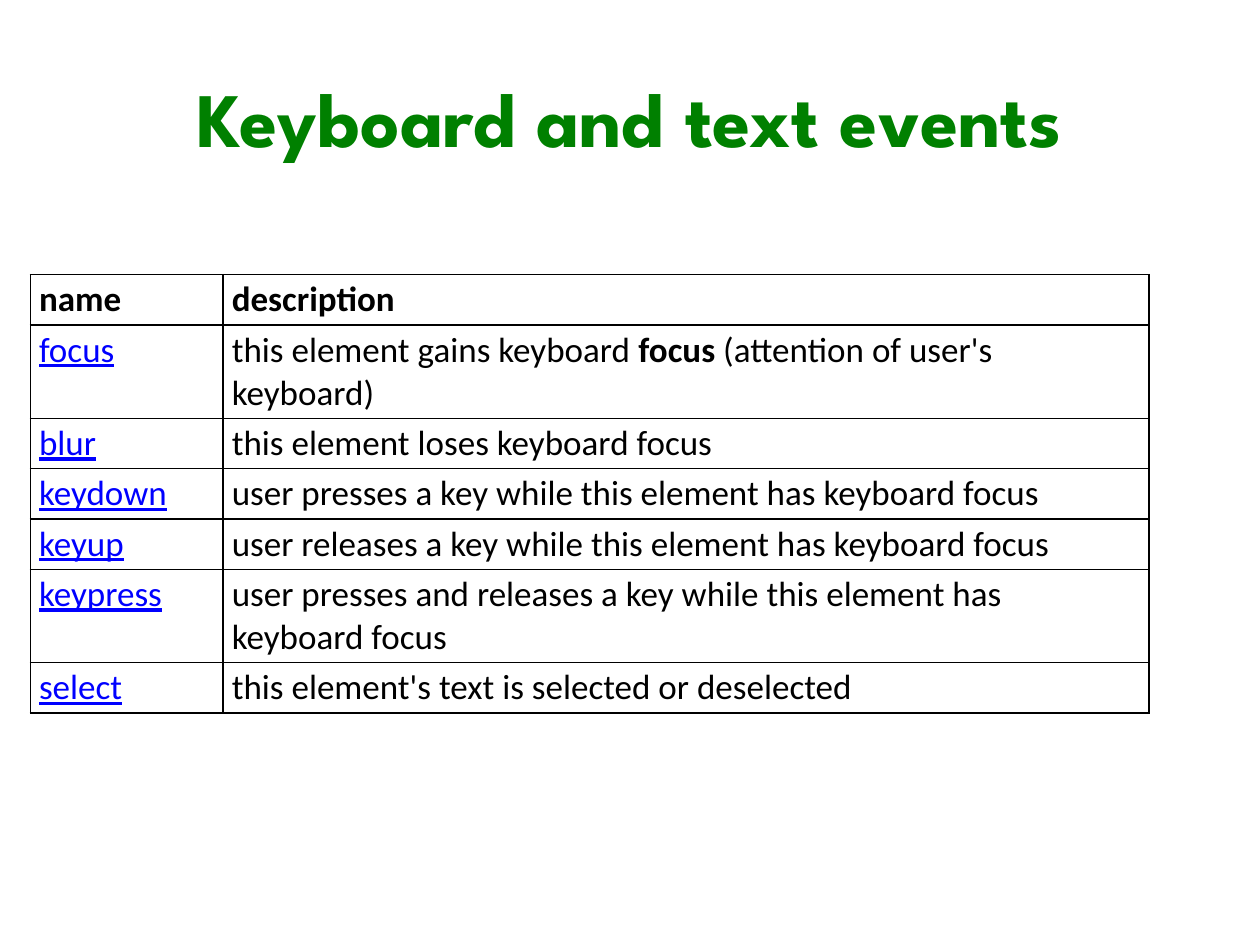
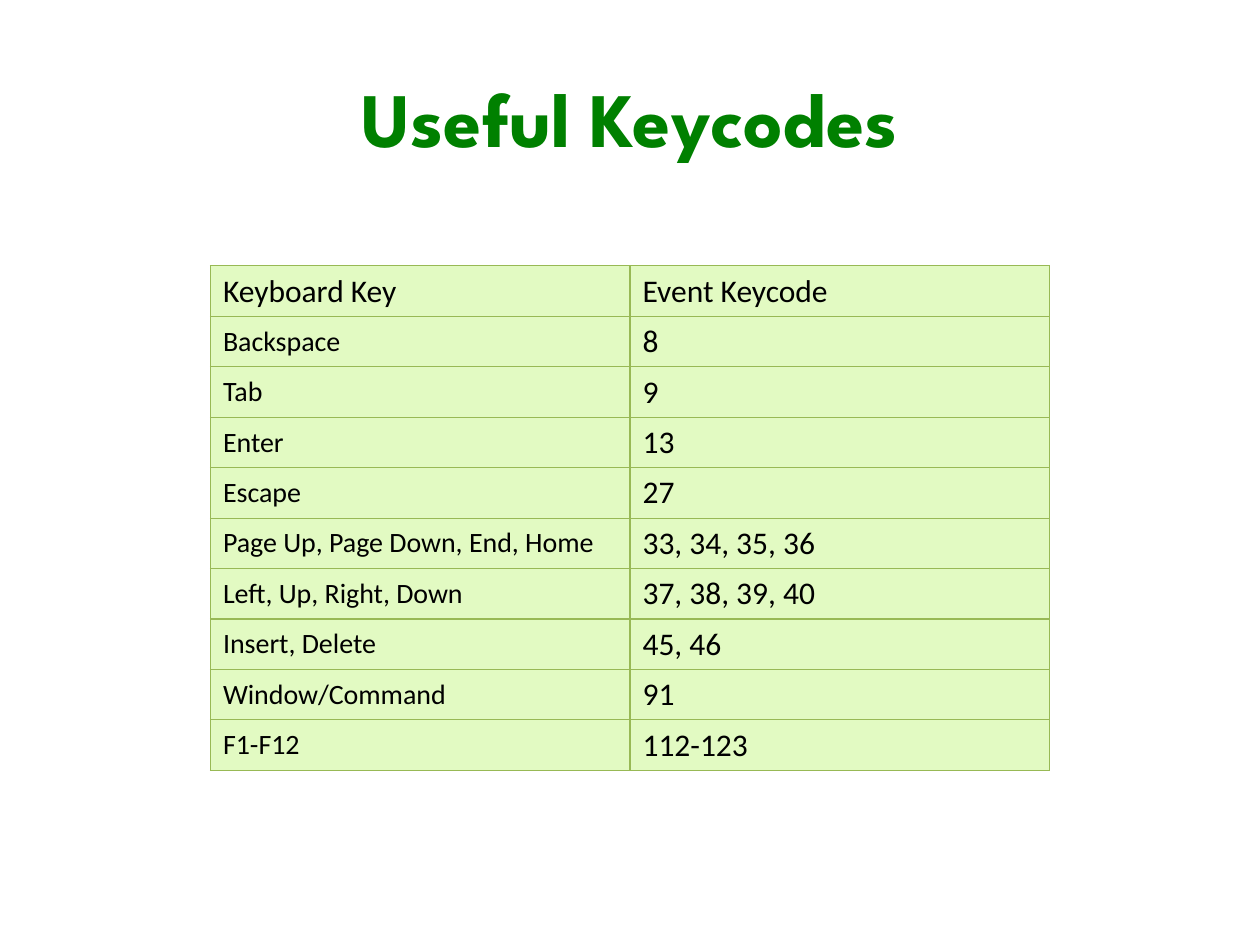
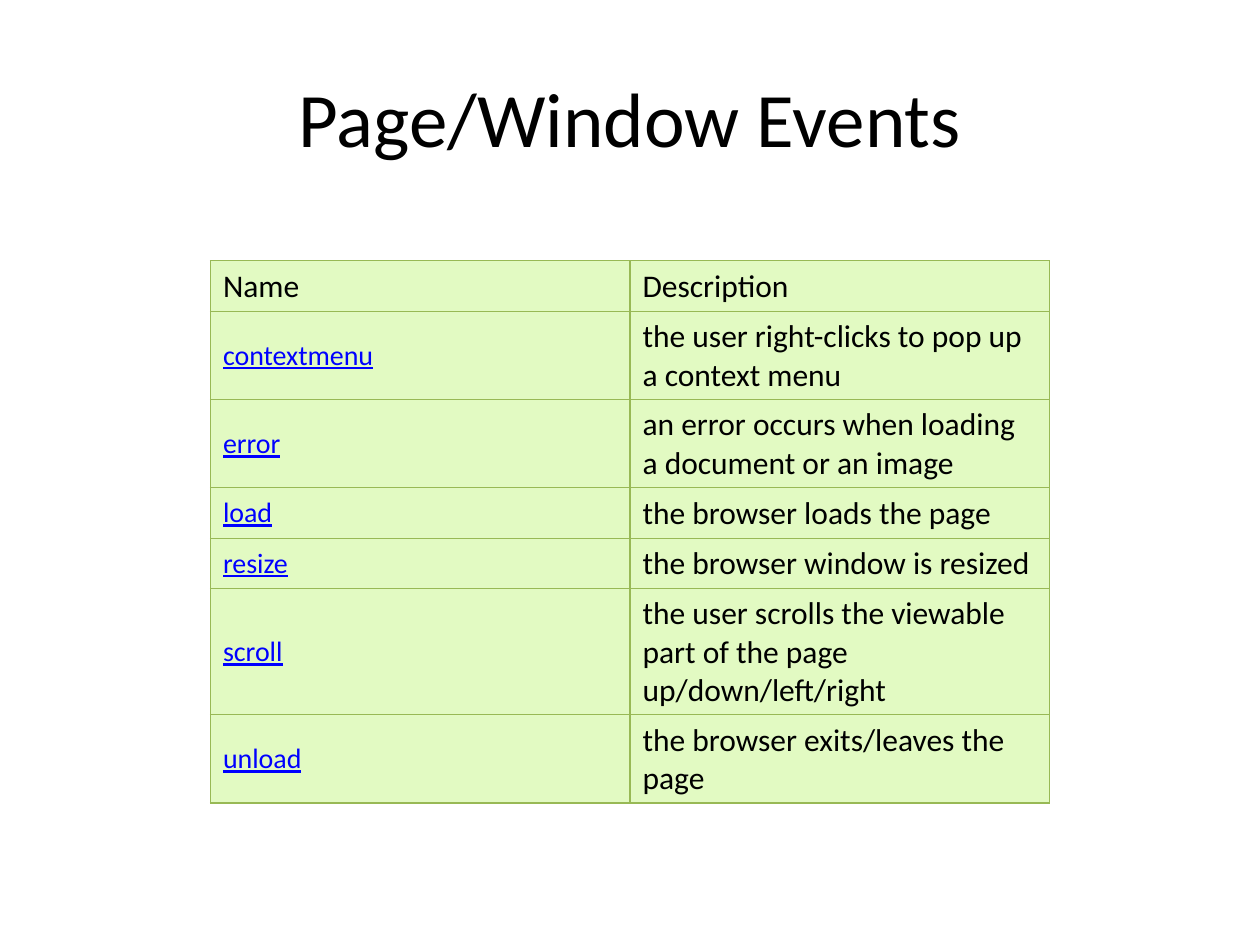
"""Builds three slides of event and keycode tables."""
from dataclasses import dataclass

from lxml import etree
from pptx import Presentation
from pptx import util as u
from pptx.dml.color import RGBColor
from pptx.enum import text
from pptx.oxml.ns import qn

COLORS = {
    "ink": "000000",
    "title": "008000",
    "link": "0000FF",
    "grid": "98B955",
    "cell": "E2FAC2",
}
BODY_FONT = "Calibri"
TITLE_FONT = "League Spartan"


@dataclass
class TableStyle:
    """Looks shared by every cell of a table; lengths are in inches."""
    left: float
    widths: tuple
    border: str
    border_width: float
    fill: str | None
    anchor: text.MSO_ANCHOR
    margins: tuple
    name_size: int
    size: int
    line_height: float
    bold_header: bool


PLAIN = TableStyle(0.24, (1.53, 7.35), "ink", 1, None, text.MSO_ANCHOR.TOP,
                   (0.07, 0.03), 20, 20, 0.34, True)
GREEN = TableStyle(1.67, (3.33, 3.33), "grid", 0.75, "cell", text.MSO_ANCHOR.MIDDLE,
                   (0.1, 0.05), 16, 18, 0.3, False)

KEYBOARD_EVENTS = [
    ("name", "description"),
    ("focus", ("this element gains keyboard ", "focus", " (attention of user's keyboard)")),
    ("blur", "this element loses keyboard focus"),
    ("keydown", "user presses a key while this element has keyboard focus"),
    ("keyup", "user releases a key while this element has keyboard focus"),
    ("keypress", "user presses and releases a key while this element has keyboard focus"),
    ("select", "this element's text is selected or deselected"),
]
KEYCODES = [
    ("Keyboard Key", "Event Keycode"),
    ("Backspace", "8"),
    ("Tab", "9"),
    ("Enter", "13"),
    ("Escape", "27"),
    ("Page Up, Page Down, End, Home", "33, 34, 35, 36"),
    ("Left, Up, Right, Down", "37, 38, 39, 40"),
    ("Insert, Delete", "45, 46"),
    ("Window/Command", "91"),
    ("F1-F12", "112-123"),
]
WINDOW_EVENTS = [
    ("Name", "Description"),
    ("contextmenu", "the user right-clicks to pop up a context menu"),
    ("error", "an error occurs when loading a document or an image"),
    ("load", "the browser loads the page"),
    ("resize", "the browser window is resized"),
    ("scroll", "the user scrolls the viewable part of the page up/down/left/right"),
    ("unload", "the browser exits/leaves the page"),
]


def rgb(name):
    """Return the named colour."""
    return RGBColor.from_string(COLORS[name])


def add_span(para, words, size, color="ink", font=BODY_FONT, bold=False, underline=False):
    """Append one formatted run to a paragraph."""
    span = para.add_run()
    span.text = words
    span.font.name = font
    span.font.size = u.Pt(size)
    span.font.bold = bold
    span.font.underline = underline
    span.font.color.rgb = rgb(color)


def add_title(page, words, **look):
    """Add the centred title at the top of a page."""
    box = page.shapes.add_textbox(u.Inches(0.5), u.Inches(0.3), u.Inches(9), u.Inches(1.25))
    frame = box.text_frame
    frame.word_wrap = True
    frame.vertical_anchor = text.MSO_ANCHOR.MIDDLE
    para = frame.paragraphs[0]
    para.alignment = text.PP_ALIGN.CENTER
    add_span(para, words, 44, **look)


def set_borders(cell, color, width):
    """Draw the same line on all four sides of a cell."""
    properties = cell._tc.get_or_add_tcPr()
    for index, side in enumerate(("lnL", "lnR", "lnT", "lnB")):
        line = etree.Element(qn(f"a:{side}"), w=str(u.Pt(width)))
        fill = etree.SubElement(line, qn("a:solidFill"))
        etree.SubElement(fill, qn("a:srgbClr"), val=COLORS[color])
        properties.insert(index, line)


def style_cell(cell, style):
    """Give a cell its margins, anchor, fill and borders."""
    across, down = (u.Inches(margin) for margin in style.margins)
    cell.margin_left = cell.margin_right = across
    cell.margin_top = cell.margin_bottom = down
    cell.vertical_anchor = style.anchor
    if style.fill:
        cell.fill.solid()
        cell.fill.fore_color.rgb = rgb(style.fill)
    else:
        cell.fill.background()
    set_borders(cell, style.border, style.border_width)


def add_event_table(page, style, top, rows, line_counts, linked=True):
    """Add a two-column table whose first column may look like links."""
    heights = [count * style.line_height + 2 * style.margins[1] for count in line_counts]
    frame = page.shapes.add_table(
        len(rows), 2, u.Inches(style.left), u.Inches(top),
        u.Inches(sum(style.widths)), u.Inches(sum(heights)))
    table = frame.table
    table.first_row = table.horz_banding = False
    for column, width in zip(table.columns, style.widths):
        column.width = u.Inches(width)
    for row_index, (row, height) in enumerate(zip(rows, heights)):
        table.rows[row_index].height = u.Inches(height)
        header = row_index == 0
        for column_index, content in enumerate(row):
            cell = table.cell(row_index, column_index)
            style_cell(cell, style)
            named = column_index == 0 and not header
            link = named and linked
            spans = (content,) if isinstance(content, str) else content
            for span_index, words in enumerate(spans):
                add_span(cell.text_frame.paragraphs[0], words,
                         style.name_size if named else style.size,
                         color="link" if link else "ink", underline=link,
                         bold=span_index == 1 or (header and style.bold_header))


def main():
    """Build and save the deck."""
    deck = Presentation()
    deck.slide_width, deck.slide_height = u.Inches(10), u.Inches(7.5)
    keyboard, keycodes, window = (
        deck.slides.add_slide(deck.slide_layouts[6]) for _ in range(3))
    green_title = {"color": "title", "font": TITLE_FONT, "bold": True}

    add_title(keyboard, "Keyboard and text events", **green_title)
    add_event_table(keyboard, PLAIN, 2.18, KEYBOARD_EVENTS, (1, 2, 1, 1, 1, 2, 1))

    add_title(keycodes, "Useful Keycodes", **green_title)
    add_event_table(keycodes, GREEN, 2.11, KEYCODES, [1] * len(KEYCODES), linked=False)

    add_title(window, "Page/Window Events")
    add_event_table(window, GREEN, 2.07, WINDOW_EVENTS, (1, 2, 2, 1, 1, 3, 2))

    deck.save("out.pptx")


if __name__ == "__main__":
    main()
